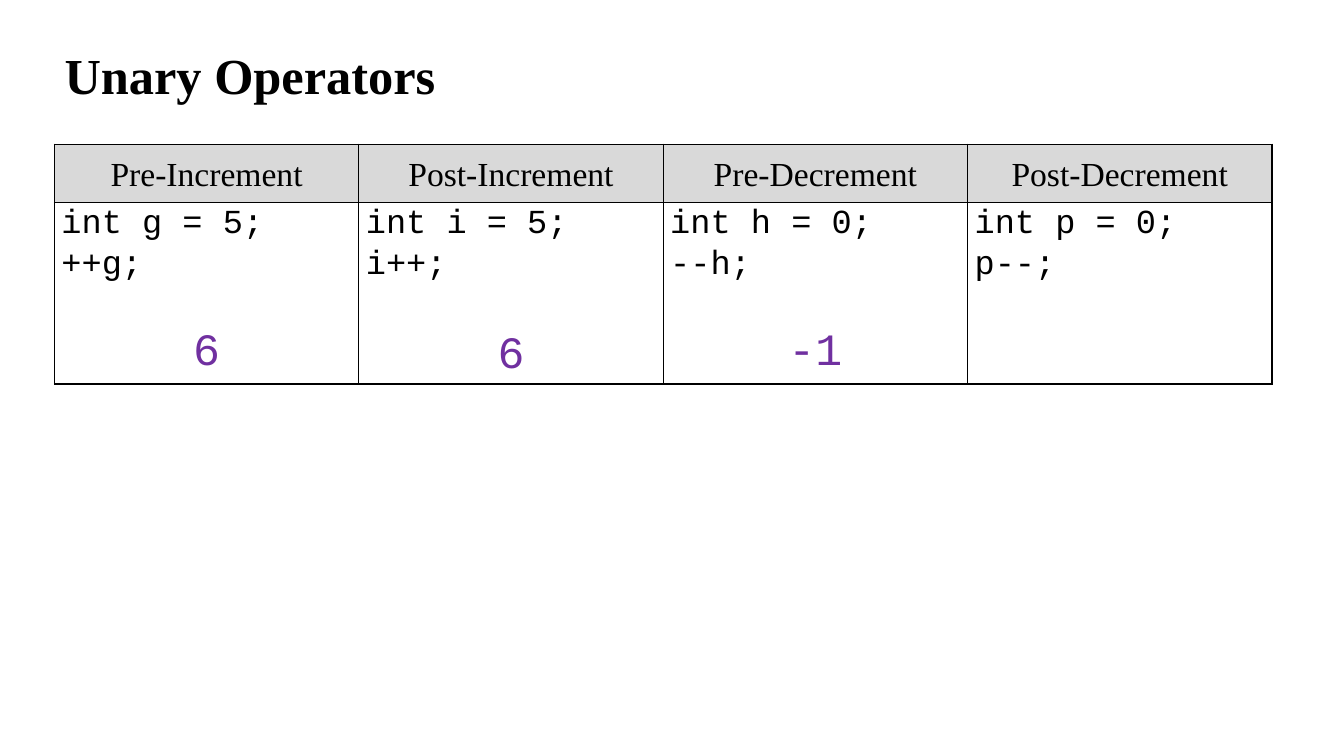
import pptx
import pptx.dml.color
import pptx.enum.text
import pptx.oxml
import pptx.oxml.ns
import pptx.util

COLORS = {"ink": "000000", "header": "D9D9D9", "paper": "FFFFFF", "answer": "7030A0"}
SERIF, MONO = "Times New Roman", "Courier New"
ALIGN = pptx.enum.text.PP_ALIGN
ANCHOR = pptx.enum.text.MSO_ANCHOR

OPERATORS = [
    ("Pre-Increment", ["int g = 5;", "++g;"], "6", 29),
    ("Post-Increment", ["int i = 5;", "i++;"], "6", 31),
    ("Pre-Decrement", ["int h = 0;", "--h;"], "-1", 29),
    ("Post-Decrement", ["int p = 0;", "p--;"], None, 0),
]


def write(para, text, *, font=SERIF, size=24, color="ink", bold=False,
          align=ALIGN.LEFT, spacing=1.07, before=0):
    para.alignment = align
    para.line_spacing = spacing
    para.space_before = pptx.util.Pt(before)
    para.space_after = pptx.util.Pt(0)
    span = para.add_run()
    span.text = text
    span.font.name = font
    span.font.size = pptx.util.Pt(size)
    span.font.bold = bold
    span.font.color.rgb = pptx.dml.color.RGBColor.from_string(COLORS[color])


class Slide:
    COLUMNS, ROWS = 160, 90

    def __init__(self, deck):
        self.page = deck.slides.add_slide(deck.slide_layouts[5])
        self.column = deck.slide_width / self.COLUMNS
        self.row = deck.slide_height / self.ROWS

    def across(self, columns):
        return round(columns * self.column)

    def down(self, rows):
        return round(rows * self.row)

    def title(self, text, left, top, width, height):
        box = self.page.shapes.title
        box.left, box.top = self.across(left), self.down(top)
        box.width, box.height = self.across(width), self.down(height)
        frame = box.text_frame
        frame.auto_size = pptx.enum.text.MSO_AUTO_SIZE.NONE
        frame.vertical_anchor = ANCHOR.MIDDLE
        write(frame.paragraphs[0], text, size=36, bold=True, spacing=0.9)

    def table(self, left, top, column_width, row_heights, column_count):
        table = self.page.shapes.add_table(
            len(row_heights), column_count, self.across(left), self.down(top),
            self.across(column_width * column_count), self.down(sum(row_heights))).table
        for column in table.columns:
            column.width = self.across(column_width)
        for row, height in zip(table.rows, row_heights):
            row.height = self.down(height)
        return table

    def cell(self, cell, lines, fill, anchor):
        cell.margin_left = cell.margin_right = pptx.util.Inches(0.07)
        cell.margin_top = cell.margin_bottom = 0
        cell.vertical_anchor = anchor
        self.borders(cell)
        cell.fill.solid()
        cell.fill.fore_color.rgb = pptx.dml.color.RGBColor.from_string(COLORS[fill])
        frame = cell.text_frame
        for index, (text, style) in enumerate(lines):
            para = frame.add_paragraph() if index else frame.paragraphs[0]
            write(para, text, **style)

    def borders(self, cell):
        properties = cell._tc.get_or_add_tcPr()
        for side in ("lnL", "lnR", "lnT", "lnB"):
            properties.append(pptx.oxml.parse_xml(
                f'<a:{side} {pptx.oxml.ns.nsdecls("a")} w="{pptx.util.Pt(1)}">'
                f'<a:solidFill><a:srgbClr val="{COLORS["ink"]}"/></a:solidFill></a:{side}>'))


def main():
    deck = pptx.Presentation()
    deck.slide_width = pptx.util.Inches(13.33)
    deck.slide_height = pptx.util.Inches(7.5)
    slide = Slide(deck)
    slide.title("Unary Operators", 6.48, 3.48, 138, 11.76)
    table = slide.table(6.48, 17.16, 36.24, [6.96, 21.6], len(OPERATORS))
    for index, (name, code, answer, gap) in enumerate(OPERATORS):
        slide.cell(table.cell(0, index), [(name, {"align": ALIGN.CENTER})],
                   "header", ANCHOR.MIDDLE)
        lines = [(line, {"font": MONO}) for line in code]
        if answer:
            lines.append((answer, {"font": MONO, "size": 32, "color": "answer",
                                   "align": ALIGN.CENTER, "before": gap}))
        slide.cell(table.cell(1, index), lines, "paper", ANCHOR.TOP)
    deck.save("out.pptx")


if __name__ == "__main__":
    main()
